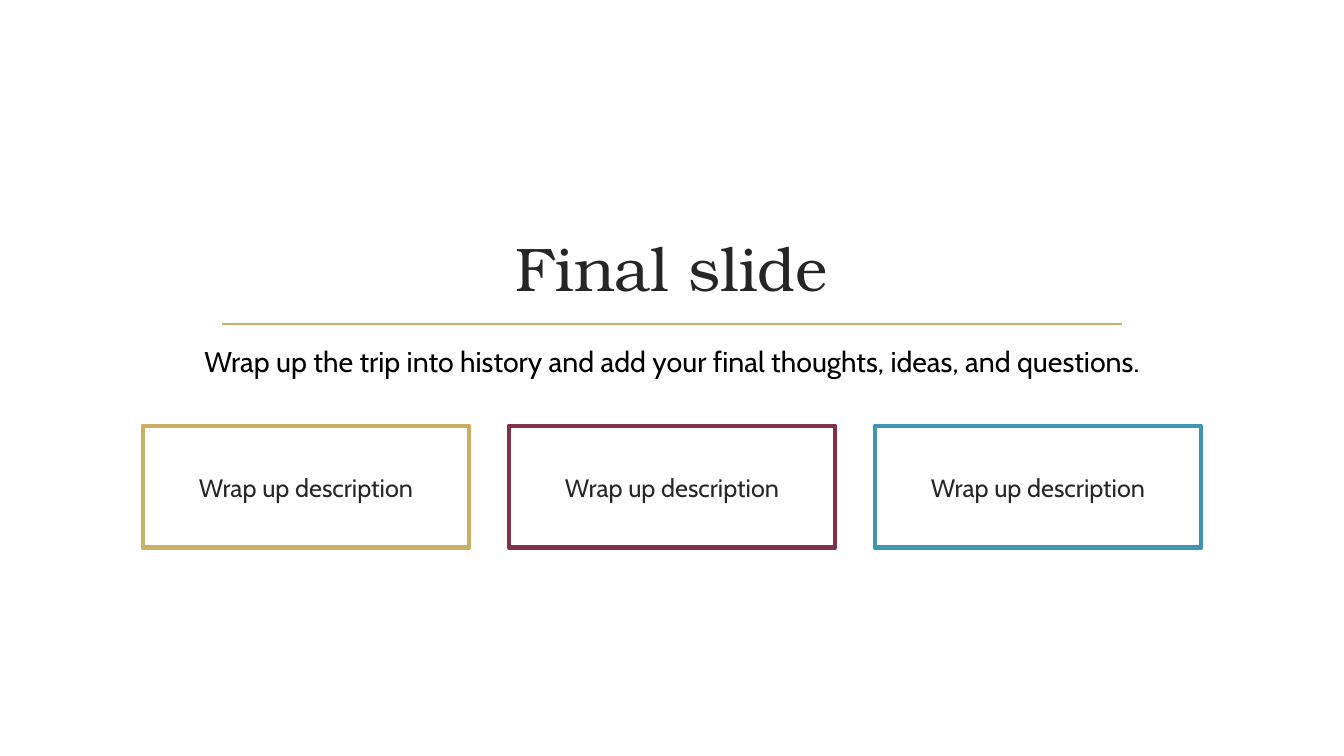
from lxml.etree import SubElement
from pptx import Presentation
from pptx.dml.color import RGBColor
from pptx.enum.shapes import MSO_CONNECTOR, MSO_SHAPE
from pptx.enum.text import MSO_ANCHOR, PP_ALIGN
from pptx.oxml.ns import qn
from pptx.util import Pt

SCALE = 12192000 / 1344
LEFT, WIDTH = 143, 1058
CARD_TOP, CARD_WIDTH, CARD_HEIGHT = 426, 326, 122
GOLD, WINE, TEAL, INK, BLACK = "CBAF62", "803348", "4096B0", "262626", "000000"
SERIF, SANS = "TeX Gyre Bonum", "Cabin"


def px(length):
    return round(length * SCALE)


def color(value):
    return RGBColor.from_string(value)


class SlideBuilder:
    """Draws styled elements on the current slide."""

    def __init__(self, deck):
        self.page = deck.slides.add_slide(deck.slide_layouts[6])
        self.spacing = {"space_before": Pt(4), "space_after": Pt(6)}

    def set_text(self, box, text, size, font, ink, anchor, spacing):
        frame = box.text_frame
        frame.word_wrap = True
        frame.vertical_anchor = anchor
        para = frame.paragraphs[0]
        for name, value in {"alignment": PP_ALIGN.CENTER, **spacing}.items():
            setattr(para, name, value)
        span = para.add_run()
        span.text = text
        for name, value in {"size": Pt(size), "name": font}.items():
            setattr(span.font, name, value)
        span.font.color.rgb = color(ink)

    def rule(self, x1, x2, y, line_color, weight):
        line = self.page.shapes.add_connector(
            MSO_CONNECTOR.STRAIGHT, px(x1), px(y), px(x2), px(y))
        line.line.color.rgb = color(line_color)
        line.line.width = Pt(weight)
        SubElement(line._element.spPr, qn("a:effectLst"))

    def title(self, area, text):
        box = self.page.shapes.add_textbox(*map(px, area))
        self.set_text(box, text, 44, SERIF, INK, MSO_ANCHOR.BOTTOM, {})

    def subtitle(self, area, text):
        box = self.page.shapes.add_textbox(*map(px, area))
        self.set_text(box, text, 20.4, SANS, BLACK, MSO_ANCHOR.TOP, self.spacing)

    def card(self, area, text, border):
        box = self.page.shapes.add_shape(MSO_SHAPE.RECTANGLE, *map(px, area))
        box.shadow.inherit = False
        box.fill.background()
        box.line.color.rgb = color(border)
        box.line.width = Pt(3.5)
        self.set_text(box, text, 18, SANS, INK, MSO_ANCHOR.MIDDLE, self.spacing)


def main():
    deck = Presentation()
    deck.slide_width, deck.slide_height = px(1344), px(756)
    builder = SlideBuilder(deck)
    builder.rule(222, 1122, 324, GOLD, 1.25)
    builder.title((LEFT, 108, WIDTH, 201), "Final slide")
    builder.subtitle(
        (LEFT, 339, WIDTH, 57),
        "Wrap up the trip into history and add your final thoughts, ideas, and questions.")
    borders = (GOLD, WINE, TEAL)
    pitch = (WIDTH - CARD_WIDTH) // (len(borders) - 1)
    for index, border in enumerate(borders):
        area = (LEFT + index * pitch, CARD_TOP, CARD_WIDTH, CARD_HEIGHT)
        builder.card(area, "Wrap up description", border)
    deck.save("out.pptx")


if __name__ == "__main__":
    main()
